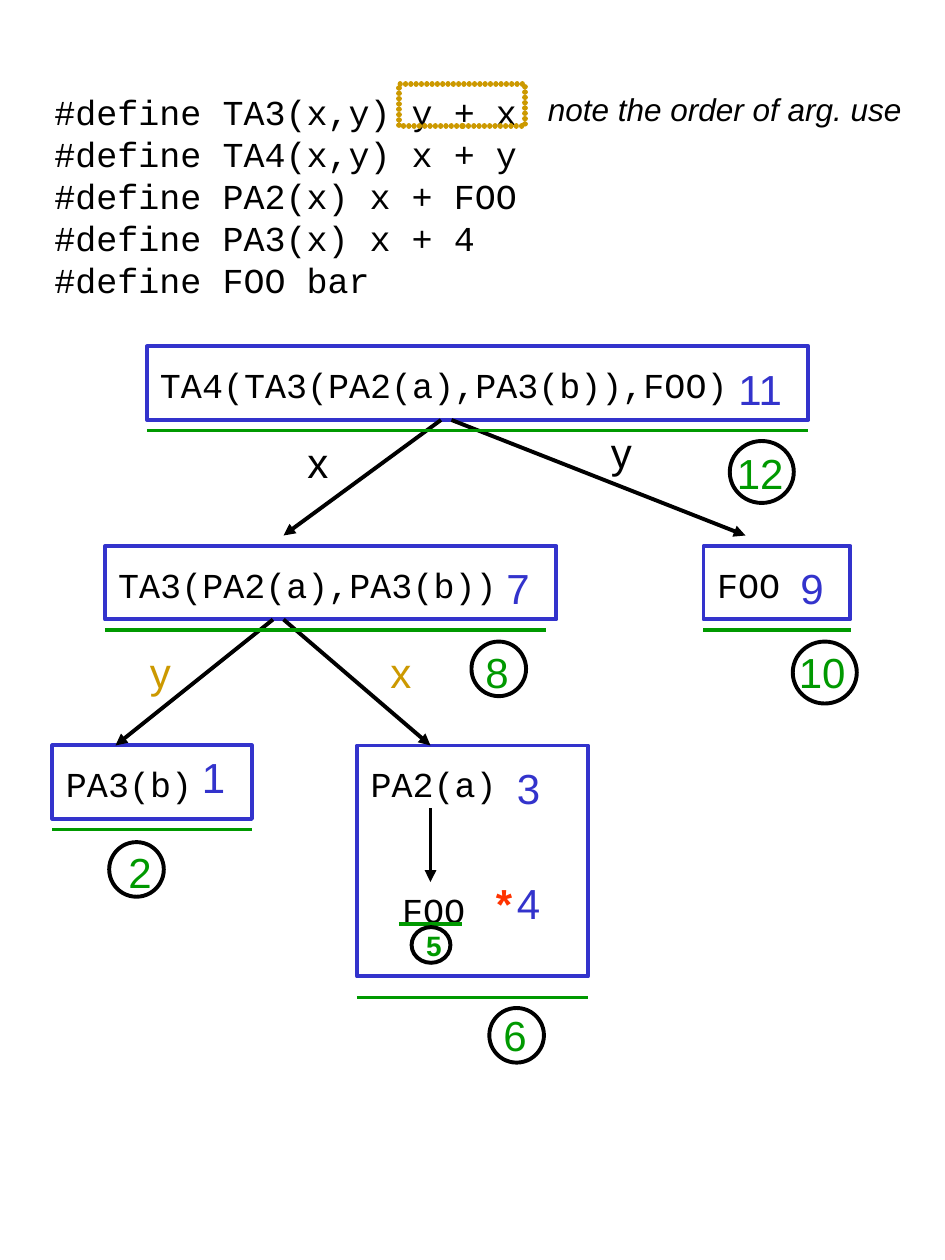
from dataclasses import dataclass
from lxml.etree import SubElement
from pptx import Presentation
from pptx.dml.color import RGBColor
from pptx.enum.shapes import MSO_CONNECTOR, MSO_SHAPE
from pptx.enum.text import MSO_ANCHOR, MSO_AUTO_SIZE, PP_ALIGN
from pptx.oxml.ns import qn
from pptx.shapes.autoshape import Shape
from pptx.slide import Slide
from pptx.util import Emu, Pt

EMU_PER_PX = 7620
BLACK, WHITE, BLUE, GREEN = "000000", "FFFFFF", "3333CC", "009900"
GOLD, RED = "CC9900", "FF3300"
CODE = {"name": "Courier New", "size": Pt(20)}
NOTE = {"name": "Arial", "size": Pt(18), "italic": True}
LABEL = {"name": "Arial", "size": Pt(24)}
BOLD_LABEL = LABEL | {"bold": True}
SMALL_LABEL = BOLD_LABEL | {"size": Pt(16)}
CHAR_WIDTH, SIDE_INSETS, CODE_HEIGHT = 20, 26, 53


@dataclass(frozen=True)
class Area:
    left: int
    top: int
    width: int
    height: int


@dataclass(frozen=True)
class Call:
    code: str
    area: Area


@dataclass(frozen=True)
class Label:
    text: str
    color: str
    area: Area
    font: dict


@dataclass(frozen=True)
class Segment:
    start: tuple[int, int]
    end: tuple[int, int]


def px(length: int) -> Emu:
    return Emu(length * EMU_PER_PX)


def rgb(color: str) -> RGBColor:
    return RGBColor.from_string(color)


def emu(area: Area) -> tuple[Emu, ...]:
    return px(area.left), px(area.top), px(area.width), px(area.height)


def short_label(text: str, color: str, left: int, top: int) -> Label:
    width = 43 if text.isalpha() else 24 + 23 * len(text)
    return Label(text, color, Area(left, top, width, 60), LABEL)


def add_text(slide: Slide, label: Label, align: PP_ALIGN = PP_ALIGN.CENTER) -> None:
    frame = slide.shapes.add_textbox(*emu(label.area)).text_frame
    settings = {
        "text": label.text,
        "word_wrap": False,
        "auto_size": MSO_AUTO_SIZE.SHAPE_TO_FIT_TEXT,
        "vertical_anchor": MSO_ANCHOR.MIDDLE,
    }
    for attribute, value in settings.items():
        setattr(frame, attribute, value)
    for paragraph in frame.paragraphs:
        paragraph.alignment = align
        for attribute, value in label.font.items():
            setattr(paragraph.font, attribute, value)
        paragraph.font.color.rgb = rgb(label.color)


def add_code(slide: Slide, code: str, left: int, top: int, height: int, align: PP_ALIGN) -> None:
    width = SIDE_INSETS + CHAR_WIDTH * max(map(len, code.split("\n")))
    add_text(slide, Label(code, BLACK, Area(left, top, width, height), CODE), align)


def add_outline(slide: Slide, kind: MSO_SHAPE, area: Area, color: str, weight: float = 2.25) -> Shape:
    outline = slide.shapes.add_shape(kind, *emu(area))
    outline.shadow.inherit = False
    outline.fill.background()
    outline.line.color.rgb = rgb(color)
    outline.line.width = Pt(weight)
    return outline


def set_dense_dots(outline: Shape) -> None:
    line = outline.element.spPr.find(qn("a:ln"))
    line.set("cap", "rnd")
    dots = SubElement(line, qn("a:custDash"))
    SubElement(dots, qn("a:ds"), d="100000", sp="1000")


def add_call(slide: Slide, call: Call) -> None:
    box = add_outline(slide, MSO_SHAPE.RECTANGLE, call.area, BLUE)
    box.fill.solid()
    box.fill.fore_color.rgb = rgb(WHITE)
    add_code(slide, call.code, call.area.left, call.area.top + 10, CODE_HEIGHT, PP_ALIGN.CENTER)


def add_segment(slide: Slide, segment: Segment, color: str, arrow: bool) -> None:
    ends = [px(value) for value in segment.start + segment.end]
    connector = slide.shapes.add_connector(MSO_CONNECTOR.STRAIGHT, *ends)
    connector.line.color.rgb = rgb(color)
    connector.line.width = Pt(2.25)
    properties = connector.element.spPr
    if arrow:
        SubElement(properties.find(qn("a:ln")), qn("a:tailEnd"), type="triangle")
    SubElement(properties, qn("a:effectLst"))


DEFINES = """#define TA3(x,y) y + x
#define TA4(x,y) x + y
#define PA2(x) x + FOO
#define PA3(x) x + 4
#define FOO bar"""

CALLS = [
    Call("TA3(PA2(a),PA3(b))", Area(100, 520, 430, 70)),
    Call("FOO", Area(670, 520, 140, 70)),
    Call("PA3(b)", Area(50, 710, 190, 70)),
    Call("PA2(a)", Area(340, 710, 220, 220)),
    Call("TA4(TA3(PA2(a),PA3(b)),FOO)", Area(140, 330, 630, 70)),
]

ARROWS = [
    Segment((420, 400), (270, 510)),
    Segment((430, 400), (710, 510)),
    Segment((260, 590), (110, 710)),
    Segment((270, 590), (410, 710)),
    Segment((410, 770), (410, 840)),
]

UNDERLINES = [
    Segment((140, 410), (770, 410)),
    Segment((100, 600), (520, 600)),
    Segment((670, 600), (810, 600)),
    Segment((50, 790), (240, 790)),
    Segment((340, 950), (560, 950)),
    Segment((380, 880), (440, 880)),
]

LABELS = [
    short_label("y", GOLD, 131, 610),
    short_label("x", GOLD, 360, 610),
    short_label("x", BLACK, 281, 410),
    short_label("y", BLACK, 570, 400),
    short_label("1", BLUE, 180, 710),
    short_label("2", GREEN, 110, 800),
    short_label("3", BLUE, 480, 720),
    short_label("4", BLUE, 480, 830),
    short_label("6", GREEN, 467, 955),
    short_label("7", BLUE, 470, 530),
    short_label("8", GREEN, 450, 610),
    short_label("9", BLUE, 750, 530),
    short_label("10", GREEN, 748, 610),
    short_label("11", BLUE, 689, 340),
    short_label("12", GREEN, 689, 420),
    Label("5", GREEN, Area(394, 878, 38, 44), SMALL_LABEL),
    Label("*", RED, Area(460, 830, 40, 60), BOLD_LABEL),
]

CIRCLES = [
    Area(449, 611, 52, 52),
    Area(466, 960, 52, 52),
    Area(104, 802, 52, 52),
    Area(755, 611, 61, 59),
    Area(695, 420, 61, 59),
    Area(392, 883, 37, 34),
]


def main() -> None:
    presentation = Presentation()
    presentation.slide_width, presentation.slide_height = px(900), px(1200)
    slide = presentation.slides.add_slide(presentation.slide_layouts[6])

    for call in CALLS:
        add_call(slide, call)
    add_code(slide, "FOO", 370, 840, CODE_HEIGHT, PP_ALIGN.CENTER)
    add_code(slide, DEFINES, 40, 80, 212, PP_ALIGN.LEFT)
    for arrow in ARROWS:
        add_segment(slide, arrow, BLACK, arrow=True)

    swapped_order = add_outline(slide, MSO_SHAPE.RECTANGLE, Area(380, 80, 120, 40), GOLD, 3)
    set_dense_dots(swapped_order)
    order_note = Label("note the order of arg. use", BLACK, Area(510, 80, 361, 48), NOTE)
    add_text(slide, order_note, PP_ALIGN.LEFT)

    for underline in UNDERLINES:
        add_segment(slide, underline, GREEN, arrow=False)
    for label in LABELS:
        add_text(slide, label)
    for circle in CIRCLES:
        add_outline(slide, MSO_SHAPE.OVAL, circle, BLACK)
    presentation.save("out.pptx")


if __name__ == "__main__":
    main()
